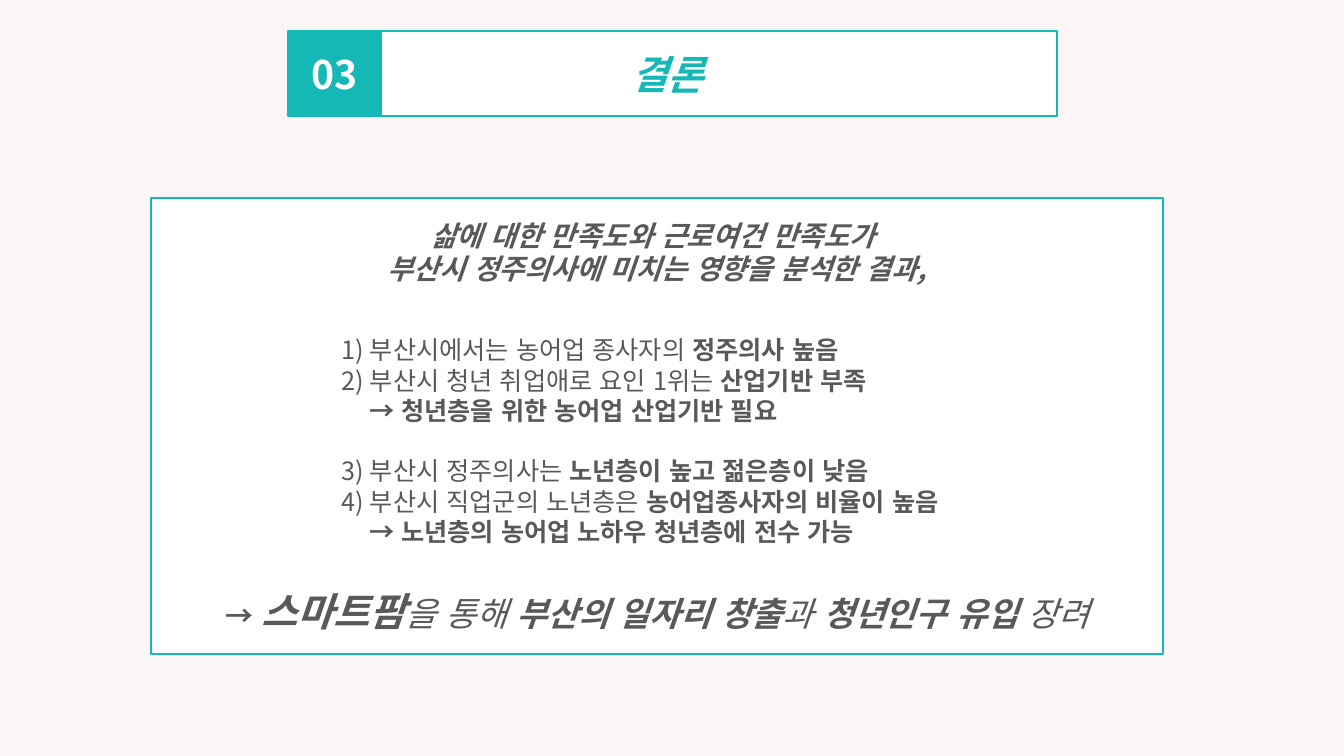
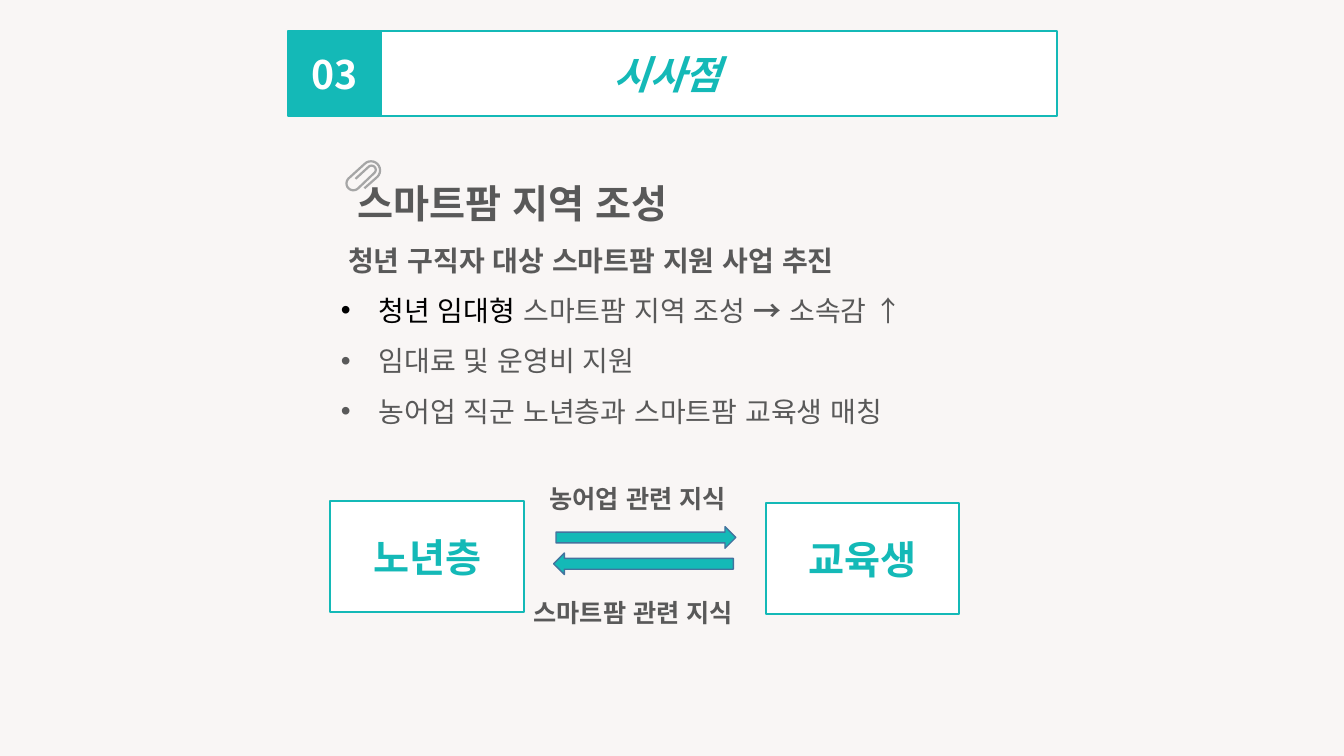
from math import cos, radians, sin

from lxml.etree import SubElement
from pptx import Presentation
from pptx.dml.color import RGBColor
from pptx.enum.lang import MSO_LANGUAGE_ID
from pptx.enum.shapes import MSO_SHAPE
from pptx.enum.text import MSO_ANCHOR, MSO_AUTO_SIZE, PP_ALIGN
from pptx.oxml.ns import qn
from pptx.util import Pt

# Content: each run is (text, format changes)
BOLD = {"bold": True}
LEAD = [
    "삶에 대한 만족도와 근로여건 만족도가 ",
    "부산시 정주의사에 미치는 영향을 분석한 결과,",
]
FINDS = [
    ([("1) 부산시에서는 농어업 종사자의 ", {}), ("정주의사 높음", BOLD)], {}),
    ([("2) 부산시 청년 취업애로 요인 1위는 ", {}), ("산업기반 부족", BOLD)], {}),
    ([("→ 청년층을 위한 농어업 산업기반 필요", BOLD)], {"left": 19.5}),
    ([("3) 부산시 정주의사는 ", {}), ("노년층이 높고 젊은층이 낮음", BOLD)],
     {"before": 21.7}),
    ([("4) 부산시 직업군의 노년층은 ", {}),
      ("농어업종사자의 비율이 높음", BOLD)], {}),
    ([("→ 노년층의 농어업 노하우 청년층에 전수 가능", BOLD)], {"left": 19.5}),
]
CLOSE = [
    ("→ ", {"size": 20, "bold": True, "italic": False}),
    ("스마트팜", {"size": 28, "bold": True}),
    ("을 통해 ", {}),
    ("부산의 일자리 창출", BOLD),
    ("과 ", {}),
    ("청년인구 유입 ", BOLD),
    ("장려", {}),
]
PLAN = [
    ([("스마트팜 지역 조성", {"size": 28, "bold": True})], {"left": 12}),
    ([("청년 구직자 대상 스마트팜 지원 사업 추진", BOLD)], {"left": 5.2}),
    ([("청년 임대형 ", {"color": RGBColor(0, 0, 0)}),
      ("스마트팜 지역 조성 ", {}), ("→ ", BOLD), ("소속감 ↑", {})],
     {"bullet": "•"}),
    ([("임대료 및 운영비 지원", {})], {"bullet": "•"}),
    ([("농어업 직군 노년층과 스마트팜 교육생 매칭", {})], {"bullet": "•"}),
]

# Colours and font
TEAL = RGBColor(0x14, 0xB9, 0xB7)
GREY = RGBColor(0x59, 0x59, 0x59)
CLIP = RGBColor(0xA6, 0xA6, 0xA6)
EDGE = RGBColor(0x43, 0x73, 0x9E)
WHITE = RGBColor(0xFF, 0xFF, 0xFF)
PAPER = RGBColor(0xF9, 0xF6, 0xF5)
FONT = "Noto Sans CJK KR"

# Places: left, top, width, height
BAR = (206, 22.2, 548.8, 60.5)
BADGE = (206, 22.2, 66.3, 60.5)
PANEL = (108, 141.7, 723, 325.5)
LIST = (236.9, 235.4, 486.7, 159.8)
BODY = (236.2, 83.5, 483.1, 367.2)
GROUPS = [("교육생", (547, 359.2, 138.3, 79.4)),
          ("노년층", (235.9, 357.8, 138.3, 79.4))]
ARROWS = [((397.2, 376.2, 128.4, 15.4), 0), ((395.4, 395, 128.4, 15.4), 180)]
LABELS = [("농어업 관련 지식", (385.5, 341.6, 156.2, 29)),
          ("스마트팜 관련 지식", (374, 423, 174.2, 29))]
# Clip wire: centre x, centre y, radius, start angle, end angle
WIRE = [
    (260.3, 134.5, 0, 45, 45),
    (265, 121.7, 6.5, 45, -135),
    (252.4, 131, 4.9, 225, 45),
    (265.4, 121.3, 3, 45, -135),
    (253.9, 127.8, 0, -135, -135),
]


def write(frame, runs, align=PP_ALIGN.LEFT, size=18, color=GREY, bold=False,
          italic=False, left=0, before=0, spacing=1.0, bullet=None):
    """Add one paragraph; a run may change size, colour, bold or italic."""
    par = frame.paragraphs[0]
    if par.runs:
        par = frame.add_paragraph()
    par.alignment, par.line_spacing = align, spacing
    par.space_before, par.space_after = Pt(before), Pt(0)
    props = par._p.get_or_add_pPr()
    hang = 27 if bullet else 0
    props.set("marL", str(Pt(left + hang)))
    props.set("indent", str(Pt(-hang)))
    if bullet:
        SubElement(props, qn("a:buChar")).set("char", bullet)
    else:
        SubElement(props, qn("a:buNone"))
    base = dict(size=size, color=color, bold=bold, italic=italic)
    for text, change in [(runs, {})] if isinstance(runs, str) else runs:
        look = {**base, **change}
        run = par.add_run()
        run.text = text
        font = run.font
        font.size, font.name = Pt(look["size"]), FONT
        font.bold, font.italic = look["bold"], look["italic"]
        font.color.rgb = look["color"]
        font.language_id = MSO_LANGUAGE_ID.KOREAN
        SubElement(run._r.get_or_add_rPr(), qn("a:ea")).set("typeface", FONT)


def place(shape, spot):
    shape.left, shape.top, shape.width, shape.height = map(Pt, spot)
    shape.text_frame.word_wrap = True
    shape.text_frame.auto_size = MSO_AUTO_SIZE.NONE


def paint(shape, fill, line=TEAL, width=1.5):
    shape.fill.solid()
    shape.fill.fore_color.rgb = fill
    shape.line.color.rgb = line
    shape.line.width = Pt(width)


def block(slide, spot, fill=WHITE, kind=MSO_SHAPE.RECTANGLE, **edge):
    shape = slide.shapes.add_shape(kind, *map(Pt, spot))
    shape.shadow.inherit = False
    paint(shape, fill, **edge)
    shape.text_frame.word_wrap = True
    shape.text_frame.vertical_anchor = MSO_ANCHOR.MIDDLE
    return shape


def start(title):
    """Make a slide with the title bar and its number."""
    slide = deck.slides.add_slide(deck.slide_layouts[1])
    bar = slide.shapes.title
    place(bar, BAR)
    paint(bar, WHITE)
    bar.text_frame.vertical_anchor = MSO_ANCHOR.MIDDLE
    write(bar.text_frame, title, align=PP_ALIGN.CENTER, size=28, color=TEAL,
          bold=True, italic=True)
    badge = block(slide, BADGE, TEAL, width=1)
    write(badge.text_frame, "03", align=PP_ALIGN.CENTER, size=28, color=WHITE,
          bold=True)
    return slide, slide.placeholders[1]


def trace(half):
    """Points of the wire's edge, half a width off its middle."""
    points = []
    for x, y, r, first, last in WIRE:
        steps = 12 if r else 1
        for i in range(steps + 1 if r else 1):
            turn = radians(first + (last - first) * i / steps)
            points.append((Pt(x + (r + half) * cos(turn)),
                           Pt(y + (r + half) * sin(turn))))
    return points


deck = Presentation()
deck.slide_width, deck.slide_height = Pt(960), Pt(540)
back = deck.slide_master.background.fill
back.solid()
back.fore_color.rgb = PAPER

# Slide 1: conclusion
slide, body = start("결론 ")
panel = block(slide, PANEL).text_frame
for line in LEAD:
    write(panel, line, align=PP_ALIGN.CENTER, size=20, bold=True, italic=True)
write(panel, CLOSE, align=PP_ALIGN.CENTER, size=24, italic=True, before=215.5)
place(body, LIST)
slide.shapes.element.append(body.element)  # list in front of the panel
for runs, form in FINDS:
    write(body.text_frame, runs, **form)

# Slide 2: implications
slide, body = start("시사점 ")
place(body, BODY)
body.text_frame.margin_top = Pt(27.7)
for runs, form in PLAN:
    write(body.text_frame, runs, size=20, spacing=1.5, **form)

# Paper clip
edge = trace(0.8) + trace(-0.8)[::-1]
pen = slide.shapes.build_freeform(*edge[0], scale=1.0)
pen.add_line_segments(edge[1:], close=True)
clip = pen.convert_to_shape()
clip.shadow.inherit = False
clip.fill.solid()
clip.fill.fore_color.rgb = CLIP
clip.line.fill.background()

# Exchange between the two groups
for name, spot in GROUPS:
    write(block(slide, spot).text_frame, name, align=PP_ALIGN.CENTER, size=28,
          color=TEAL, bold=True)
for spot, turn in ARROWS:
    arrow = block(slide, spot, TEAL, MSO_SHAPE.RIGHT_ARROW, line=EDGE, width=1)
    arrow.rotation = turn
for name, spot in LABELS:
    label = slide.shapes.add_textbox(*map(Pt, spot)).text_frame
    label.word_wrap = True
    write(label, name, bold=True)

deck.save("out.pptx")
